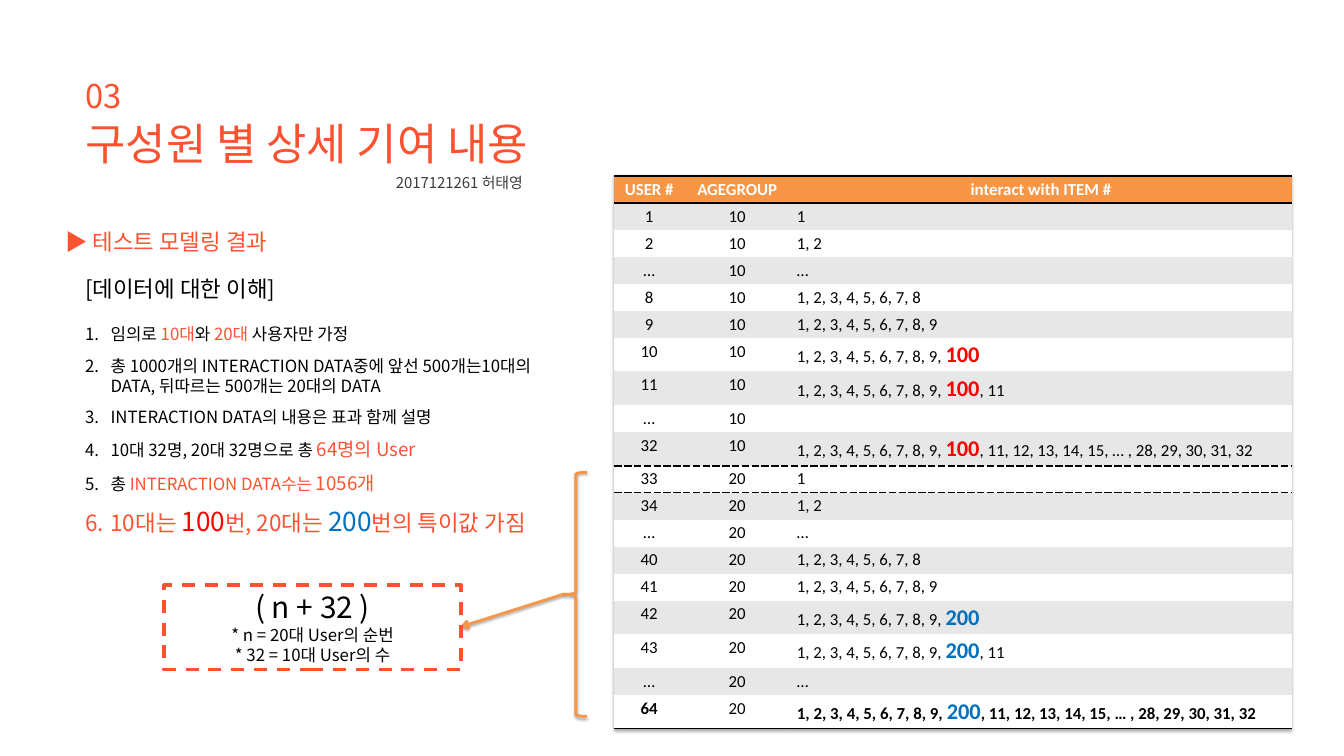
from lxml import etree
from pptx import Presentation
from pptx.dml.color import RGBColor
from pptx.enum.dml import MSO_LINE_DASH_STYLE as Dash
from pptx.enum.shapes import MSO_CONNECTOR, MSO_SHAPE
from pptx.enum.text import MSO_ANCHOR, PP_ALIGN as Align
from pptx.oxml import parse_xml
from pptx.oxml.ns import nsdecls, qn
from pptx.util import Cm, Pt

CORAL = RGBColor(0xFC, 0x52, 0x30)
ORANGE = RGBColor(0xF7, 0x96, 0x46)
RED = RGBColor(0xFF, 0x00, 0x00)
BLUE = RGBColor(0x00, 0x70, 0xC0)
BLACK = RGBColor(0x00, 0x00, 0x00)
DARK = RGBColor(0x3B, 0x3B, 0x3B)
GRAY = RGBColor(0xE7, 0xE7, 0xE7)
WHITE = RGBColor(0xFF, 0xFF, 0xFF)
KOREAN, LATIN = "Noto Sans CJK KR", "Calibri"
NO_STYLE = "{2D5ABB26-0587-4C30-8999-92F81FD0307C}"

FINDINGS = [
    [("임의로 ", 18, BLACK), ("10대", 18, CORAL), ("와 ", 18, BLACK),
     ("20대", 18, CORAL), (" 사용자만 가정", 18, BLACK)],
    [("총 1000개의 INTERACTION DATA중에 앞선 500개는10대의 DATA, "
      "뒤따르는 500개는 20대의 DATA", 18, BLACK)],
    [("INTERACTION DATA의 내용은 표과 함께 설명", 18, BLACK)],
    [("10대 32명, 20대 32명으로 총 ", 18, BLACK), ("64명의 User", 20, CORAL)],
    [("총 ", 18, BLACK), ("INTERACTION DATA수는 ", 18, CORAL), ("1056개", 20, CORAL)],
    [("10대는 ", 24, CORAL), ("100", 28, RED), ("번, 20대는 ", 24, CORAL),
     ("200", 28, BLUE), ("번의 특이값 가짐", 24, CORAL)],
]
HEADERS = ["USER #", "AGEGROUP", "interact with ITEM #"]
EIGHT = "1, 2, 3, 4, 5, 6, 7, 8"
NINE = EIGHT + ", 9"
REST = ", 11, 12, 13, 14, 15, … , 28, 29, 30, 31, 32"
OUTLIERS = {"10": ("100", RED), "20": ("200", BLUE)}
USERS = [
    ("1", "10", "1"), ("2", "10", "1, 2"), ("…", "10", "…"),
    ("8", "10", EIGHT), ("9", "10", NINE), ("10", "10", NINE, ""),
    ("11", "10", NINE, ", 11"), ("…", "10", ""), ("32", "10", NINE, REST),
    ("33", "20", "1"), ("34", "20", "1, 2"), ("…", "20", "…"),
    ("40", "20", EIGHT), ("41", "20", NINE), ("42", "20", NINE, ""),
    ("43", "20", NINE, ", 11"), ("…", "20", "…"), ("64", "20", NINE, REST),
]


def set_values(target, values):
    """Set each attribute named in a dict of format values."""
    for name, value in values.items():
        setattr(target, name, value)


def write_runs(paragraph, runs, font=KOREAN, **values):
    """Format a paragraph and fill it with (text, size, colour, bold) runs."""
    set_values(paragraph, values)
    for text, size, color, *bold in runs:
        run = paragraph.add_run()
        run.text = text
        set_values(run.font, {"name": font, "size": Pt(size), "bold": bool(bold and bold[0])})
        run.font.color.rgb = color
        east_asian = etree.SubElement(run.font._element, qn("a:ea"))
        east_asian.set("typeface", font)


def add_label(slide, box, text, size, color):
    """Add a one-line text box."""
    shape = slide.shapes.add_textbox(*map(Cm, box))
    shape.text_frame.word_wrap = True
    write_runs(shape.text_frame.paragraphs[0], [(text, size, color)], alignment=Align.JUSTIFY)


def add_title(slide, box, text):
    """Place and format the title placeholder."""
    title = slide.shapes.title
    set_values(title, dict(zip(("left", "top", "width", "height"), map(Cm, box))))
    title.text_frame.vertical_anchor = MSO_ANCHOR.TOP
    write_runs(title.text_frame.paragraphs[0], [(text, 47, CORAL)], alignment=Align.JUSTIFY)


def add_findings(slide, box):
    """Add the subheading and its numbered findings."""
    frame = slide.shapes.add_textbox(*map(Cm, box)).text_frame
    frame.word_wrap = True
    write_runs(frame.paragraphs[0], [("[데이터에 대한 이해]", 24, BLACK)], space_after=Pt(18))
    for runs in FINDINGS:
        paragraph = frame.add_paragraph()
        properties = paragraph._p.get_or_add_pPr()
        properties.set("marL", str(Cm(0.96)))
        properties.set("indent", str(-Cm(0.96)))
        etree.SubElement(properties, qn("a:buAutoNum")).set("type", "arabicPeriod")
        write_runs(paragraph, runs, space_before=Pt(6), space_after=Pt(6))


def shadow_effect():
    """Return a soft shadow that falls downwards."""
    return parse_xml(
        f'<a:effectLst {nsdecls("a")}><a:outerShdw blurRad="{Pt(3.1)}" dist="{Pt(1.8)}" '
        'dir="5400000" rotWithShape="0"><a:srgbClr val="000000"><a:alpha val="35000"/>'
        '</a:srgbClr></a:outerShdw></a:effectLst>')


def add_border(cell, side, width, dash="solid"):
    """Draw a black line on one side of a cell."""
    cell._tc.get_or_add_tcPr().insert(0, parse_xml(
        f'<a:{side} {nsdecls("a")} w="{Pt(width)}"><a:solidFill><a:srgbClr val="000000"/>'
        f'</a:solidFill><a:prstDash val="{dash}"/></a:{side}>'))


def fill_cell(cell, runs, color, alignment):
    """Fill a table cell with colour and text."""
    cell.fill.solid()
    cell.fill.fore_color.rgb = color
    write_runs(cell.text_frame.paragraphs[0], runs, LATIN, alignment=alignment)


def add_user_table(slide):
    """Add the table of users and the items they interact with."""
    rows = len(USERS) + 1
    frame = slide.shapes.add_table(rows, 3, Cm(23.22), Cm(6.65), Cm(25.6), Cm(1.02 * rows))
    table = frame.table
    properties = table._tbl.tblPr
    properties.find(qn("a:tableStyleId")).text = NO_STYLE
    properties.insert(0, shadow_effect())
    for column, width in zip(table.columns, (2.64, 4.01, 18.95)):
        column.width = Cm(width)
    for index, text in enumerate(HEADERS):
        fill_cell(table.cell(0, index), [(text, 18, WHITE, True)], ORANGE, Align.CENTER)
    for row, (user, age, items, *tail) in enumerate(USERS, 1):
        bold = user == "64"
        color = GRAY if row % 2 else WHITE
        runs = [(items, 18, BLACK, bold)] if items else []
        if tail:
            value, accent = OUTLIERS[age]
            runs = [(items + ", ", 18, BLACK, bold), (value, 24, accent, True)]
            runs += [(tail[0], 18, BLACK, bold)] if tail[0] else []
        fill_cell(table.cell(row, 0), [(user, 18, BLACK, bold)], color, Align.CENTER)
        fill_cell(table.cell(row, 1), [(age, 18, BLACK)], color, Align.CENTER)
        fill_cell(table.cell(row, 2), runs, color, Align.LEFT)
    for column in range(3):
        for row, side, *style in ((0, "lnB", 2), (0, "lnT", 2), (9, "lnB", 2.25, "dash"),
                                  (10, "lnB", 1, "dash"), (10, "lnT", 2.25, "dash"),
                                  (rows - 1, "lnB", 2)):
            add_border(table.cell(row, column), side, *style)


def add_brace(slide, box):
    """Add the brace beside the rows of the second age group."""
    brace = slide.shapes.add_shape(MSO_SHAPE.LEFT_BRACE, *map(Cm, box))
    brace.fill.background()
    brace.line.color.rgb = ORANGE
    brace.line.width = Pt(3)
    brace._element.spPr.append(shadow_effect())


def add_arrow(slide, ends):
    """Add the arrow from the brace to the formula."""
    arrow = slide.shapes.add_connector(MSO_CONNECTOR.STRAIGHT, *map(Cm, ends))
    arrow.line.color.rgb = ORANGE
    arrow.line.width = Pt(3)
    etree.SubElement(arrow.line._get_or_add_ln(), qn("a:tailEnd")).set("type", "arrow")
    arrow._element.spPr.append(shadow_effect())


def add_formula(slide, box):
    """Add the dashed box with the formula and its terms."""
    shape = slide.shapes.add_shape(MSO_SHAPE.RECTANGLE, *map(Cm, box))
    shape.shadow.inherit = False
    shape.fill.background()
    shape.line.color.rgb = CORAL
    set_values(shape.line, {"width": Pt(3.5), "dash_style": Dash.DASH})
    frame = shape.text_frame
    lines = [("( n + 32 )", 32), ("* n = 20대 User의 순번", 18), ("* 32 = 10대 User의 수", 18)]
    for index, (text, size) in enumerate(lines):
        paragraph = frame.add_paragraph() if index else frame.paragraphs[0]
        write_runs(paragraph, [(text, size, BLACK)], alignment=Align.CENTER)


def main():
    """Build the slide and save it."""
    presentation = Presentation()
    set_values(presentation, {"slide_width": Cm(50.8), "slide_height": Cm(28.58)})
    slide = presentation.slides.add_slide(presentation.slide_layouts[5])
    add_title(slide, (2.97, 4.27, 17.86, 3), "구성원 별 상세 기여 내용")
    add_label(slide, (2.97, 2.74, 5.54, 2.21), "03", 35, CORAL)
    add_label(slide, (14.71, 6.45, 6.1, 0.81), "2017121261 허태영", 16, DARK)
    add_label(slide, (2.21, 8.51, 46.36, 1.27), "▶ 테스트 모델링 결과", 24, CORAL)
    add_findings(slide, (2.97, 10.26, 18.85, 11.25))
    add_user_table(slide)
    add_brace(slide, (21.34, 17.86, 0.84, 9.22))
    add_arrow(slide, (21.34, 22.45, 17.4, 23.7))
    add_formula(slide, (6.2, 22.12, 11.23, 3.18))
    presentation.save("out.pptx")


if __name__ == "__main__":
    main()
